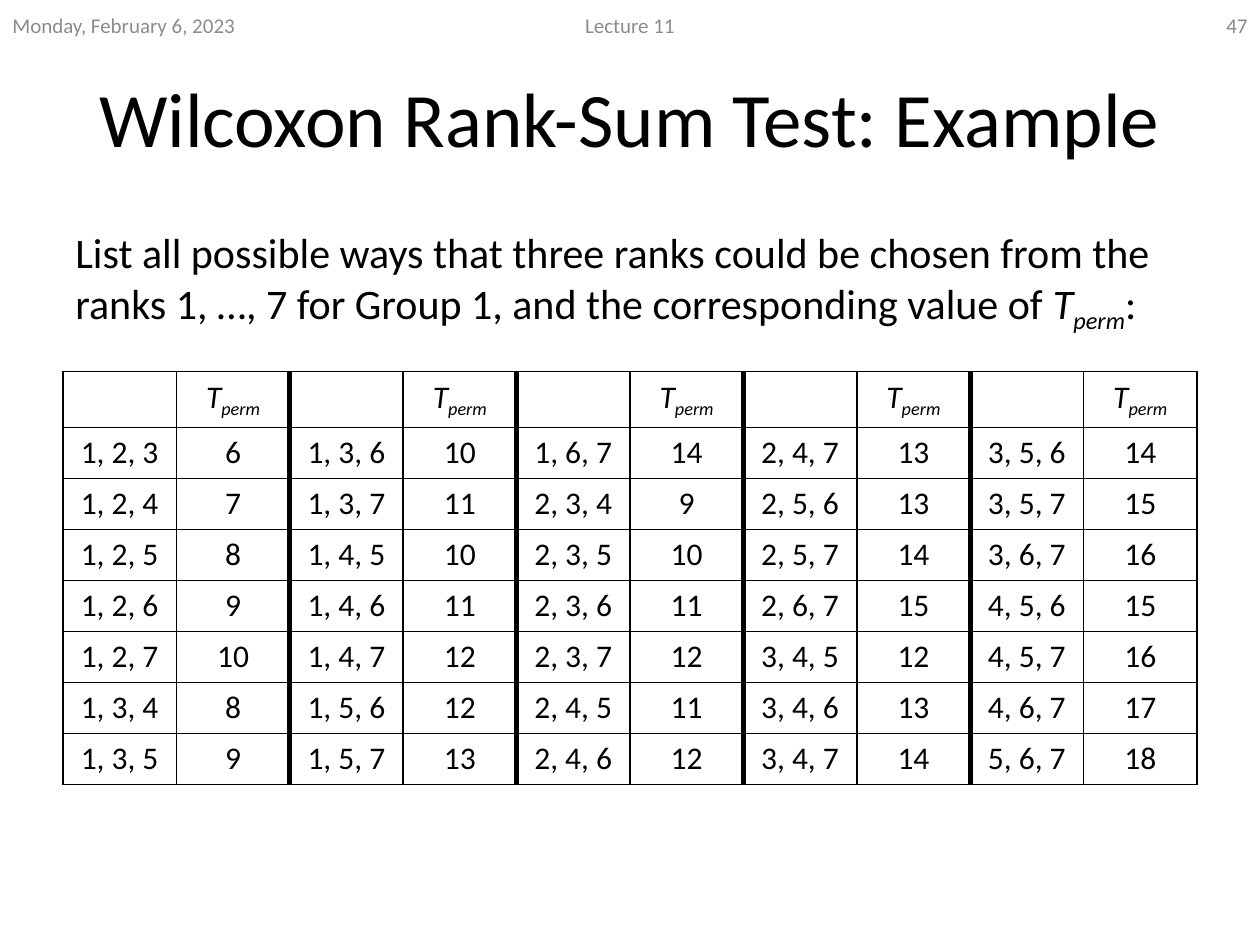
from itertools import combinations

from lxml.etree import SubElement
from pptx import Presentation
from pptx.dml.color import RGBColor
from pptx.enum.text import MSO_ANCHOR, PP_ALIGN
from pptx.oxml.ns import qn
from pptx.util import Inches, Pt

COLORS = {"text": "000000", "border": "000000", "header": "8C8C8C", "number": "898989"}
FONT = "Calibri"
STATISTIC = [("T", "italic"), ("perm", "subscript")]
THIN, THICK = 1, 3
ROWS_PER_GROUP = 7


def write_text(frame, runs, size=18, color="text", align=PP_ALIGN.LEFT, anchor=MSO_ANCHOR.TOP):
    """Fill a text frame with (text, style) runs; style is plain, italic or subscript."""
    frame.word_wrap = True
    frame.vertical_anchor = anchor
    paragraph = frame.paragraphs[0]
    paragraph.alignment = align
    for text, style in runs:
        run = paragraph.add_run()
        run.text = text
        run.font.name = FONT
        run.font.size = Pt(size)
        run.font.color.rgb = RGBColor.from_string(COLORS[color])
        if style != "plain":
            run.font.italic = True
        if style == "subscript":
            run.font._element.set("baseline", "-25000")


def add_text(slide, box, runs, **text_format):
    text_box = slide.shapes.add_textbox(*box)
    write_text(text_box.text_frame, runs, **text_format)


def add_page_header(slide, left, top, width, height):
    side, middle = Inches(2.33), Inches(3.17)
    parts = [
        ("Monday, February 6, 2023", left, side, PP_ALIGN.LEFT, "header"),
        ("Lecture 11", left + (width - middle) // 2, middle, PP_ALIGN.CENTER, "header"),
        ("47", left + width - side, side, PP_ALIGN.RIGHT, "number"),
    ]
    for text, part_left, part_width, align, color in parts:
        add_text(slide, (part_left, top, part_width, height), [(text, "plain")],
                 size=12, color=color, align=align, anchor=MSO_ANCHOR.MIDDLE)


def set_title(slide, left, top, width, height, text):
    title = slide.shapes.title
    title.left, title.top, title.width, title.height = left, top, width, height
    write_text(title.text_frame, [(text, "plain")], size=44,
               align=PP_ALIGN.CENTER, anchor=MSO_ANCHOR.MIDDLE)


def set_borders(cell, left, right):
    """Draw all four sides; left and right are widths in points."""
    properties = cell._tc.get_or_add_tcPr()
    for side, width in (("L", left), ("R", right), ("T", THIN), ("B", THIN)):
        line = SubElement(properties, qn(f"a:ln{side}"), w=str(Pt(width)))
        fill = SubElement(line, qn("a:solidFill"))
        SubElement(fill, qn("a:srgbClr"), val=COLORS["border"])


def add_rank_table(slide, left, top, width, height):
    """List every choice of three ranks from 1 to 7 with its sum, in column pairs."""
    choices = list(combinations(range(1, 8), 3))
    column_count = 2 * len(choices) // ROWS_PER_GROUP
    row_count = ROWS_PER_GROUP + 1
    table = slide.shapes.add_table(row_count, column_count, left, top, width, height).table
    table.first_row = table.horz_banding = False

    for row in range(row_count):
        for column in range(column_count):
            cell = table.cell(row, column)
            is_sum = column % 2 == 1
            set_borders(cell,
                        left=THICK if column > 0 and not is_sum else THIN,
                        right=THICK if is_sum and column < column_count - 1 else THIN)
            cell.fill.background()
            if row > 0:
                ranks = choices[column // 2 * ROWS_PER_GROUP + row - 1]
                text = str(sum(ranks)) if is_sum else ", ".join(map(str, ranks))
                runs = [(text, "plain")]
            else:
                runs = STATISTIC if is_sum else []
            write_text(cell.text_frame, runs, align=PP_ALIGN.CENTER)


def main():
    presentation = Presentation()
    presentation.slide_width, presentation.slide_height = Inches(10), Inches(7.5)
    slide = presentation.slides.add_slide(presentation.slide_layouts[5])
    margin, content_width = Inches(0.5), Inches(9)

    set_title(slide, margin, Inches(0.3), content_width, Inches(1.25),
              "Wilcoxon Rank-Sum Test: Example")
    prompt = ("List all possible ways that three ranks could be chosen from the "
              "ranks 1, …, 7 for Group 1, and the corresponding value of ")
    add_text(slide, (margin, Inches(1.75), content_width, Inches(4.95)),
             [(prompt, "plain"), *STATISTIC, (":", "plain")], size=24)
    add_page_header(slide, 0, 0, presentation.slide_width, Inches(0.4))
    add_rank_table(slide, margin, Inches(2.95), content_width, Inches(3.24))
    presentation.save("out.pptx")


if __name__ == "__main__":
    main()
